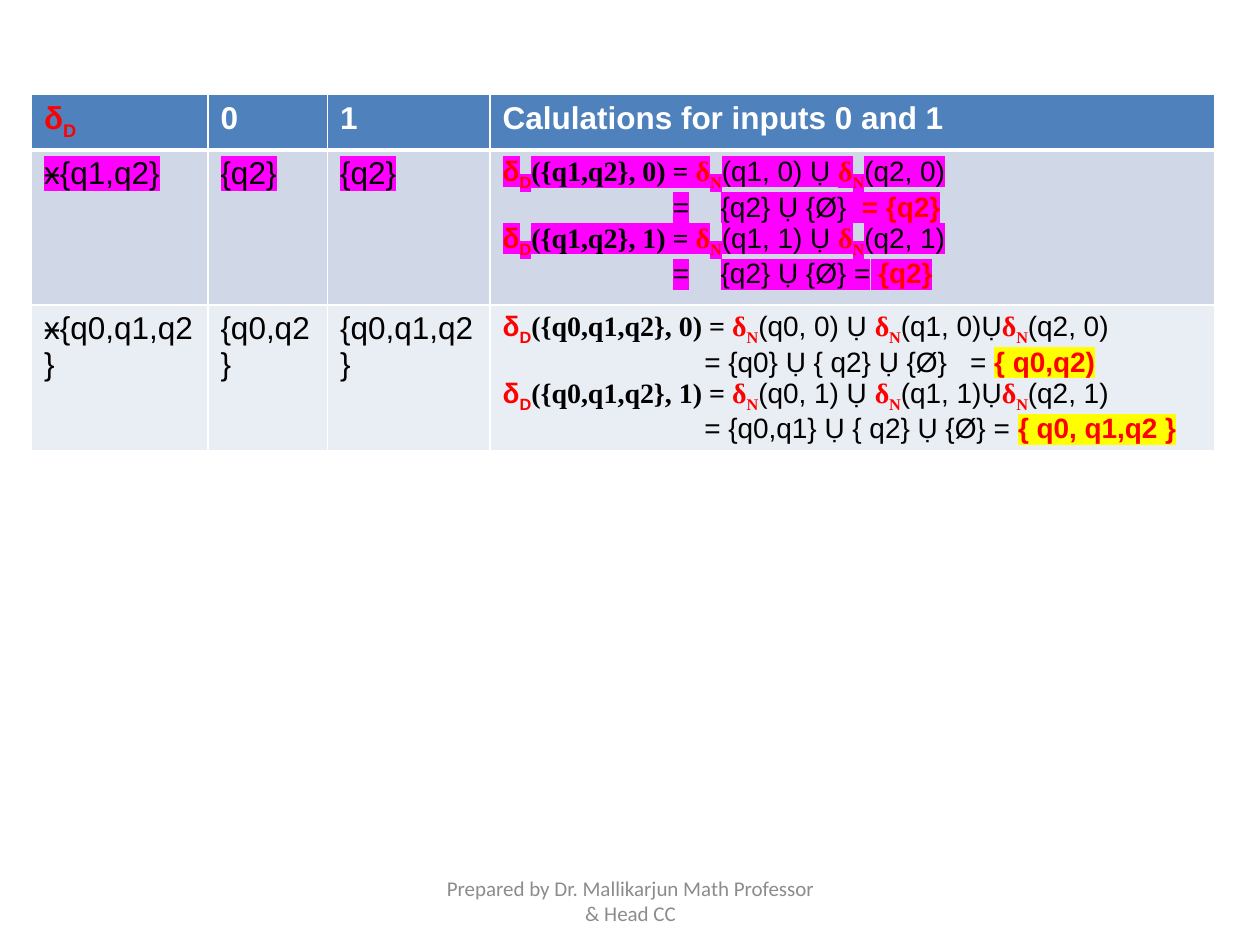
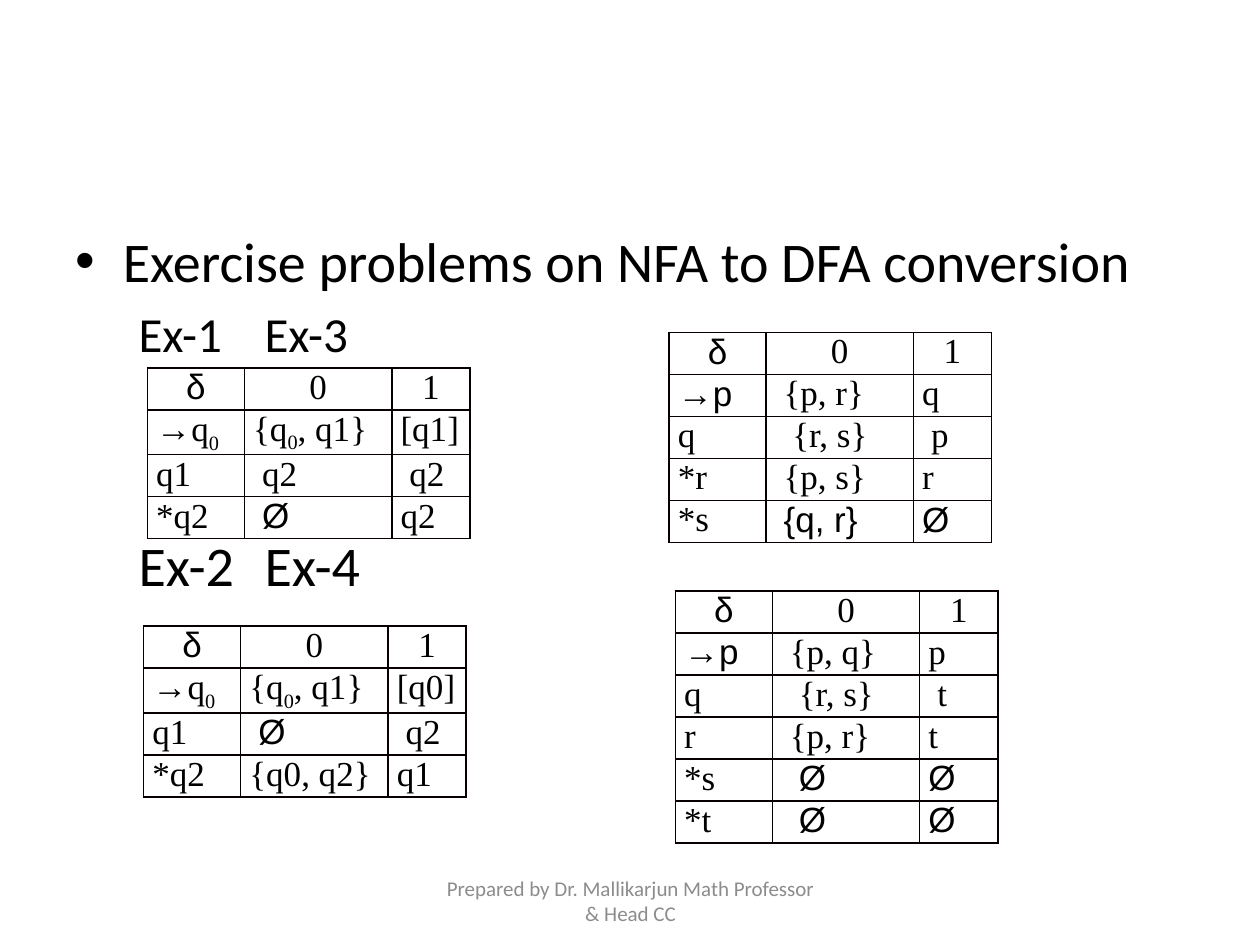
from lxml.etree import SubElement
from pptx import Presentation
from pptx.dml.color import RGBColor
from pptx.enum.text import MSO_ANCHOR as Anchor, MSO_AUTO_SIZE as AutoSize, PP_ALIGN as Align
from pptx.oxml.ns import qn
from pptx.util import Inches, Pt

RED, BLACK, WHITE, GREY = "FF0000", "000000", "FFFFFF", "8C8C8C"
MAGENTA, YELLOW, GRID = "FF00FF", "FFFF00", "080000"
HEADER_FILL, ROW_FILLS = "4F81BD", ("D0D8E8", "E9EDF4")
SANS, SERIF, BODY = "Arial", "Times New Roman", "Calibri"
FOOTER = "Prepared by Dr. Mallikarjun Math Professor & Head CC"

PLAIN = dict(size=16, name=SANS, color=BLACK, bold=False)
RESULT = PLAIN | dict(color=RED, bold=True)
ARGUMENT = PLAIN | dict(name=SERIF, bold=True)
DELTA_N = RESULT | dict(name=SERIF)
STATE = PLAIN | dict(size=18)
HEADING = STATE | dict(color=WHITE, bold=True)
HEADING_DELTA = HEADING | dict(color=RED)
EXERCISE = dict(size=20, name=SERIF, color=BLACK, bold=False)

EXERCISES = [
    (1.17, 2.92, [("~→|q|_0", "{q|_0|, q1}", "[q1]"),
                  ("q1", ">q2", ">q2"),
                  ("*q2", ">~Ø", "q2")]),
    (1.14, 4.97, [("~→|q|_0", "{q|_0|, q1}", "[q0]"),
                  ("q1", ">~Ø", ">q2"),
                  ("*q2", "{q0, q2}", "q1")]),
    (5.31, 2.64, [("~→p", ">{p, r}", "q"),
                  ("q", ">>{r, s}", ">p"),
                  ("*r", ">{p, s}", "r"),
                  ("*s", ">~{q, r}", "~Ø")]),
    (5.36, 4.69, [("~→p", ">{p, q}", "p"),
                  ("q", ">>{r, s}", ">t"),
                  ("r", ">{p, r}", "t"),
                  ("*s", ">>~Ø", "~Ø"),
                  ("*t", ">>~Ø", "~Ø")]),
]


def rgb(value):
    """Turn a hex string into a colour."""
    return RGBColor.from_string(value)


def add_span(para, text, color=BLACK, highlight=None, base=0, **font):
    """Add one formatted run to a paragraph."""
    span = para.add_run()
    span.text = text
    for key, value in font.items():
        setattr(span.font, key, Pt(value) if key == "size" else value)
    span.font.color.rgb = rgb(color)
    props = span.font._element
    if base:
        props.set("baseline", str(base * 1000))
    if highlight:
        mark = SubElement(props, qn("a:highlight"))
        SubElement(mark, qn("a:srgbClr")).set("val", highlight)
        props.find(qn("a:solidFill")).addnext(mark)


def set_indent(para, left):
    """Give a paragraph a left margin without a hanging first line."""
    props = para._p.get_or_add_pPr()
    props.set("marL", str(Inches(left)))
    props.set("indent", "0")
    return props


def set_tabs(para, stops):
    """Set left tab stops in inches."""
    tabs = SubElement(para._p.get_or_add_pPr(), qn("a:tabLst"))
    for stop in stops:
        SubElement(tabs, qn("a:tab"), pos=str(Inches(stop)), algn="l")


def set_borders(cell, color, bottom=1):
    """Draw the four borders of a cell."""
    props = cell._tc.get_or_add_tcPr()
    for index, side in enumerate("LRTB"):
        width = bottom if side == "B" else 1
        line = SubElement(props, qn(f"a:ln{side}"), w=str(Pt(width)))
        fill = SubElement(line, qn("a:solidFill"))
        SubElement(fill, qn("a:srgbClr")).set("val", color)
        props.insert(index, line)


def add_grid(page, left, top, widths, heights):
    """Add a table without banding, sized by its columns and rows."""
    frame = page.shapes.add_table(
        len(heights), len(widths), Inches(left), Inches(top),
        Inches(sum(widths)), Inches(sum(heights)))
    grid = frame.table
    grid.first_row = grid.horz_banding = False
    for column, width in zip(grid.columns, widths):
        column.width = Inches(width)
    for row, height in zip(grid.rows, heights):
        row.height = Inches(height)
    return grid


def fill_cell(cell, lines, fill, bottom=1):
    """Fill a calculation cell with lines of (spans, tab stops)."""
    cell.fill.solid()
    cell.fill.fore_color.rgb = rgb(fill)
    set_borders(cell, WHITE, bottom)
    for index, (spans, stops) in enumerate(lines):
        para = cell.text_frame.add_paragraph() if index else cell.text_frame.paragraphs[0]
        if stops:
            set_tabs(para, stops)
        for text, style in spans:
            add_span(para, text, **style)


def delta(label, style):
    """Return the spans of a transition symbol with its subscript."""
    return [("δ", style), (label, style | dict(base=-25))]


def transition(states, symbol, joints, **mark):
    """Return the line that expands a subset transition into its states."""
    subset = ",".join(states)
    spans = delta("D", RESULT | mark)
    spans.append((f"({{{subset}}}, {symbol}) = ", ARGUMENT | mark))
    for state, joint in zip(states, joints):
        spans += delta("N", DELTA_N | mark)
        spans.append((f"({state}, {symbol}){joint}", PLAIN | mark))
    return spans, ()


def add_calculations(page):
    """Add the table of subset transitions with their calculations."""
    grid = add_grid(page, 0.25, 0.75, (1.4, 0.95, 1.29, 5.75), (0.44, 1.23, 1.16))
    pink, yellow = dict(highlight=MAGENTA), dict(highlight=YELLOW)
    pair, triple = ("q1", "q2"), ("q0", "q1", "q2")
    pair_joints, triple_joints = (" Ụ ", ""), (" Ụ ", "Ụ", "")
    pair_work = [
        transition(pair, 0, pair_joints, **pink),
        ([("\t=\t{q2} Ụ {Ø} ", PLAIN | pink), (" = {q2}", RESULT | pink),
          ("\t", PLAIN | pink)], (1.35, 1.73, 4.95)),
        transition(pair, 1, pair_joints, **pink),
        ([("\t=\t{q2} Ụ {Ø} =", PLAIN | pink), (" {q2}", RESULT | pink)], (1.35, 1.73)),
    ]
    triple_work = [
        transition(triple, 0, triple_joints),
        ([("\t= {q0} Ụ { q2} Ụ {Ø}\t= ", PLAIN), ("{ q0,q2)", RESULT | yellow)], (1.6, 3.71)),
        transition(triple, 1, triple_joints),
        ([("\t= {q0,q1} Ụ { q2} Ụ {Ø} = ", PLAIN),
          ("{ q0, q1,q2 }", RESULT | yellow)], (1.6,)),
    ]
    headings = [delta("D", HEADING_DELTA)]
    headings += [[(text, HEADING)] for text in ("0", "1", "Calulations for inputs 0 and 1")]
    for column, spans in enumerate(headings):
        fill_cell(grid.cell(0, column), [(spans, ())], HEADER_FILL, bottom=3)
    rows = [(("ӿ{q1,q2}", "{q2}", "{q2}"), pair_work, STATE | pink),
            (("ӿ{q0,q1,q2}", "{q0,q2}", "{q0,q1,q2}"), triple_work, STATE)]
    for index, ((states, work, style), fill) in enumerate(zip(rows, ROW_FILLS), 1):
        cells = [[([(text, style)], ())] for text in states] + [work]
        for column, lines in enumerate(cells):
            fill_cell(grid.cell(index, column), lines, fill)


def fill_exercise_cell(cell, markup, centred):
    """Fill a cell: > indents, | parts spans, ~ is sans and _ subscript."""
    for side in ("left", "right", "top", "bottom"):
        setattr(cell, f"margin_{side}", Inches(0.07 if side in ("left", "right") else 0))
    cell.fill.background()
    set_borders(cell, GRID)
    para = cell.text_frame.paragraphs[0]
    if centred:
        para.alignment = Align.CENTER
    text = markup.lstrip(">")
    set_indent(para, 0.07 * (len(markup) - len(text)))
    for part in text.split("|"):
        style = dict(EXERCISE)
        if part.startswith("~"):
            style["name"] = SANS
        if part.startswith("_"):
            style["base"] = -25
        add_span(para, part.lstrip("~_"), **style)


def add_exercise(page, left, top, transitions):
    """Add one transition table with its heading row."""
    rows = [("~δ", "0", "1")] + transitions
    grid = add_grid(page, left, top, (0.77, 1.17, 0.62), [1 / 3] * len(rows))
    for row, entries in enumerate(rows):
        for column, markup in enumerate(entries):
            fill_exercise_cell(grid.cell(row, column), markup, centred=row == 0)


def add_exercise_text(page):
    """Write the bullet and the exercise labels in the body placeholder."""
    title, body = page.shapes.title, page.placeholders[1]
    title._element.getparent().remove(title._element)
    body.left, body.top, body.width, body.height = map(Inches, (0.5, 1.75, 9, 5.32))
    frame = body.text_frame
    frame.auto_size = AutoSize.NONE
    add_span(frame.paragraphs[0], "Exercise problems on NFA to DFA conversion",
             size=32, name=BODY)
    labels = [("Ex-1", "Ex-3", 28, 5.6, (0.5, 3.8)),
              ("Ex-2", "Ex-4", 32, 96, (0.5, 3.88))]
    for first, second, size, gap, stops in labels:
        para = frame.add_paragraph()
        para.space_before = Pt(gap)
        SubElement(set_indent(para, 0), qn("a:buNone"))
        set_tabs(para, stops)
        add_span(para, f"\t{first}\t{second}", size=size, name=BODY)


def add_footer(page):
    """Add the centred author line at the foot of a page."""
    box = page.shapes.add_textbox(*map(Inches, (3.42, 6.95, 3.17, 0.4)))
    frame = box.text_frame
    frame.word_wrap = True
    frame.vertical_anchor = Anchor.MIDDLE
    frame.paragraphs[0].alignment = Align.CENTER
    add_span(frame.paragraphs[0], FOOTER, GREY, size=12, name=BODY)


def main():
    """Build both slides and save the deck."""
    deck = Presentation()
    deck.slide_width, deck.slide_height = Inches(10), Inches(7.5)
    calculations = deck.slides.add_slide(deck.slide_layouts[6])
    add_calculations(calculations)
    add_footer(calculations)
    exercises = deck.slides.add_slide(deck.slide_layouts[1])
    add_exercise_text(exercises)
    for left, top, transitions in EXERCISES:
        add_exercise(exercises, left, top, transitions)
    add_footer(exercises)
    deck.save("out.pptx")


if __name__ == "__main__":
    main()
